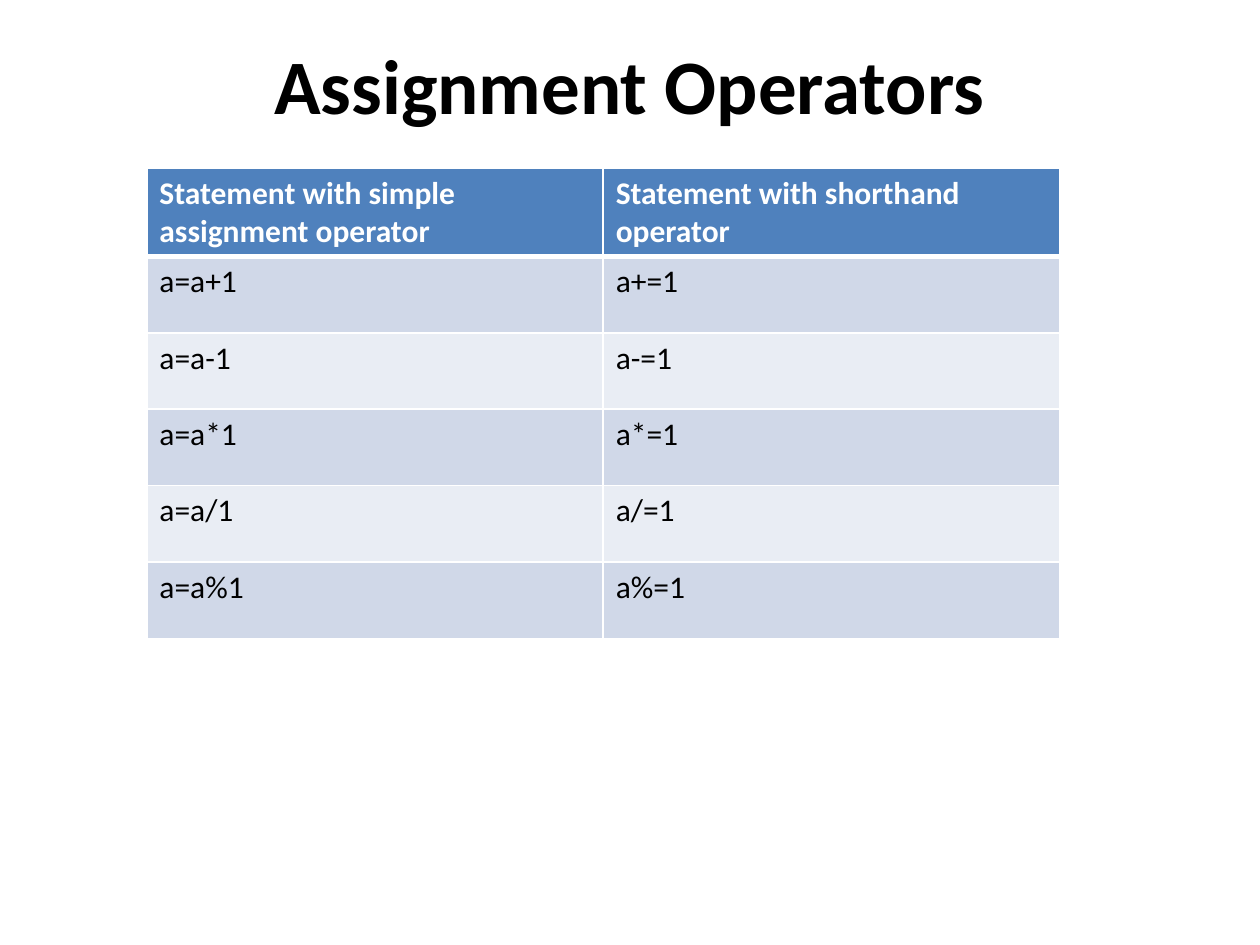
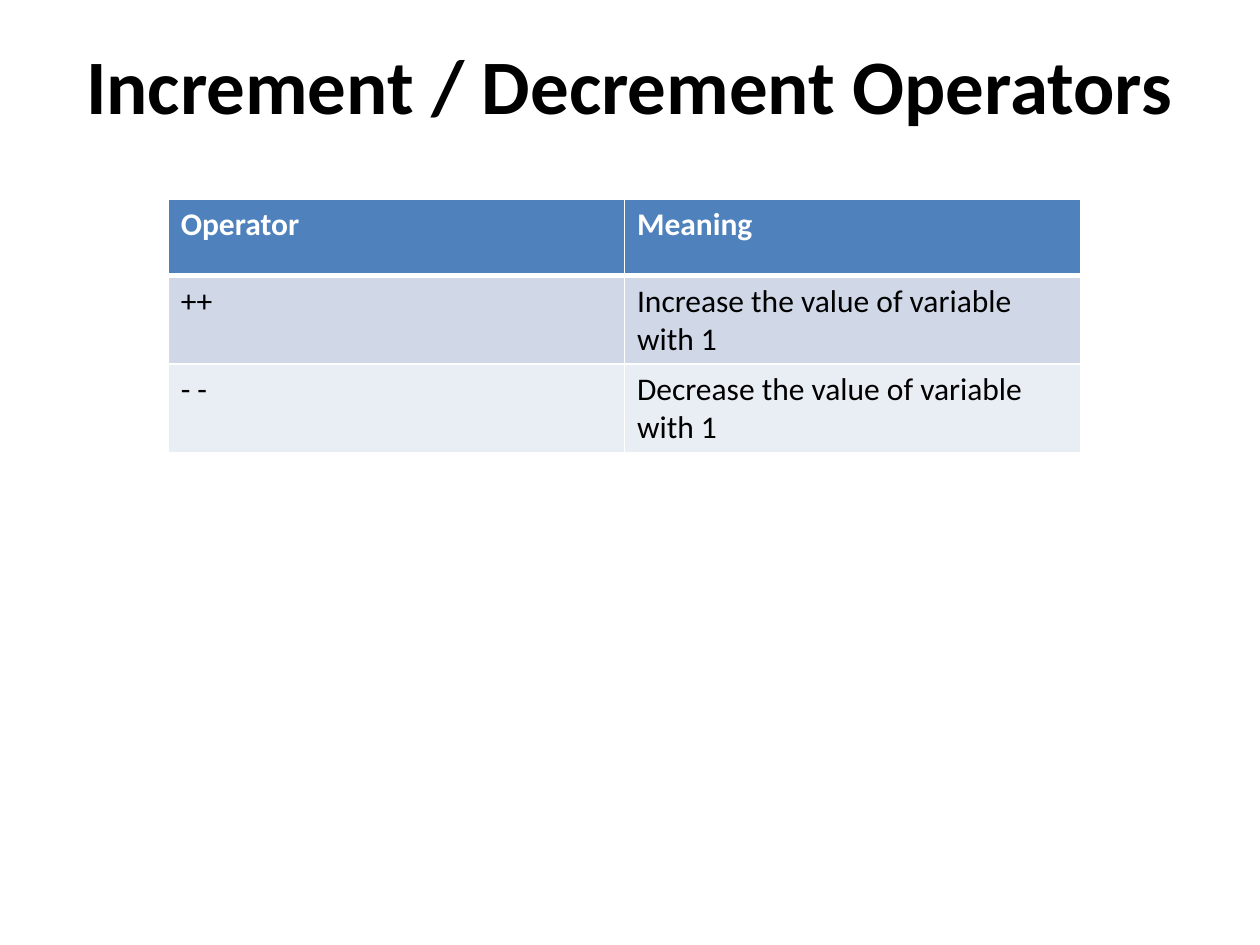
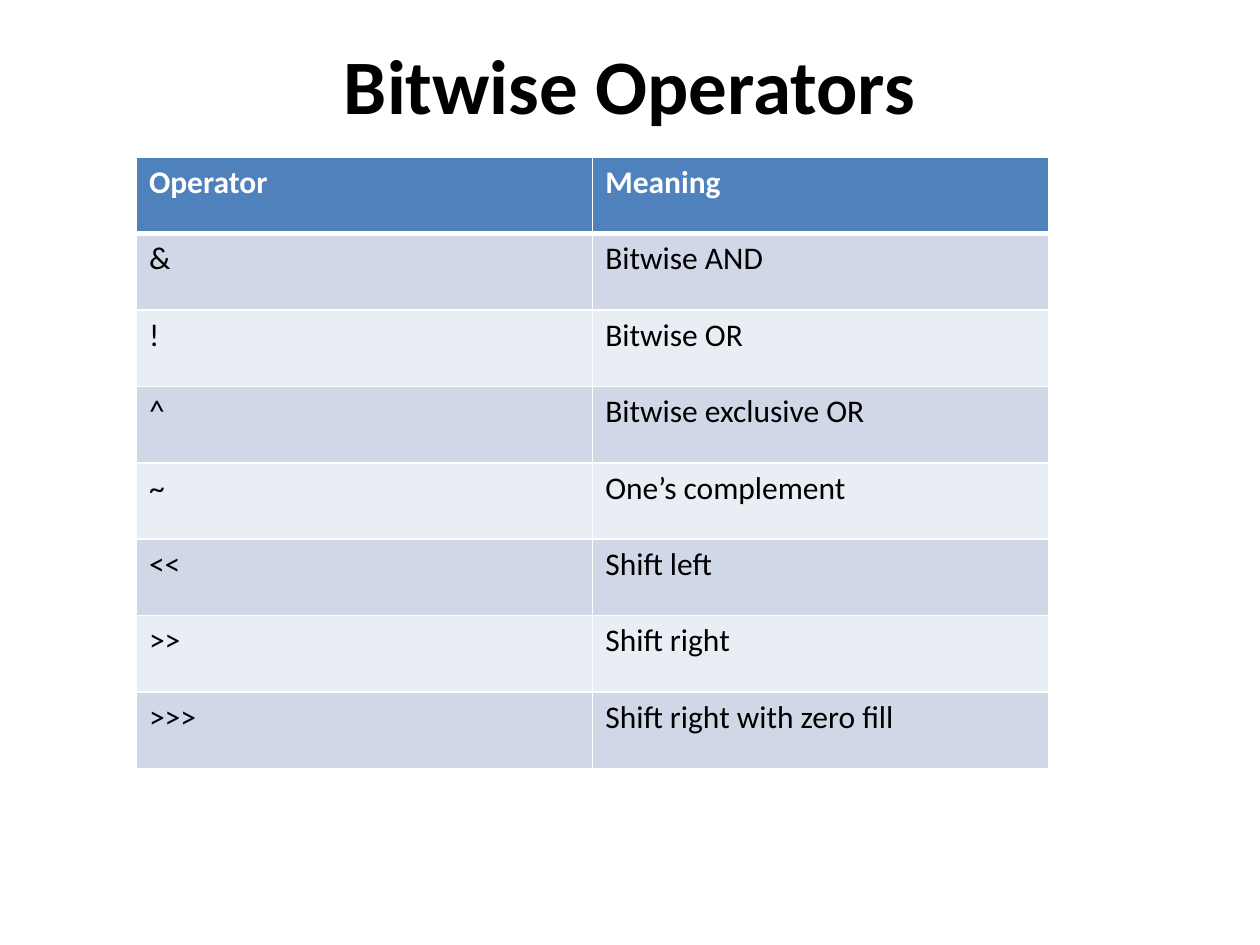
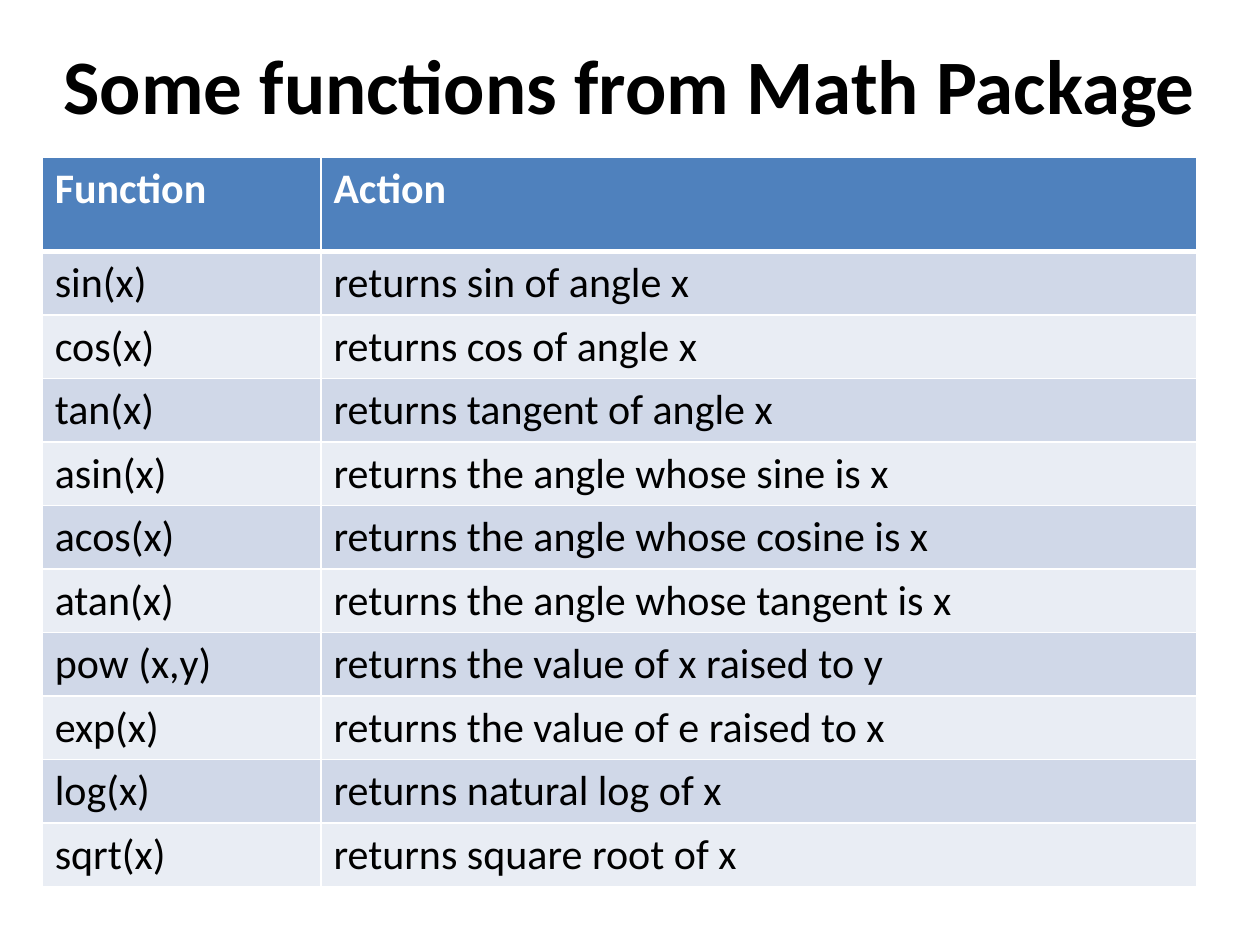
from lxml.etree import SubElement
from pptx import Presentation
from pptx.dml.color import RGBColor
from pptx.enum.text import MSO_ANCHOR, PP_ALIGN
from pptx.oxml.ns import qn
from pptx.util import Cm, Pt

FONT = "Calibri"
BLACK = RGBColor(0x00, 0x00, 0x00)
WHITE = RGBColor(0xFF, 0xFF, 0xFF)
HEADER_BLUE = RGBColor(0x4F, 0x81, 0xBD)
BANDS = (RGBColor(0xD0, 0xD8, 0xE8), RGBColor(0xE9, 0xED, 0xF4))

SLIDE_WIDTH, SLIDE_HEIGHT = Cm(25.4), Cm(19.05)
TITLE_TOP, TITLE_HEIGHT = Cm(0.42), Cm(2.54)
THIN, THICK = Pt(1), Pt(3)

# Table sizes: column widths, header and body row heights in cm, text in points
OPERATOR_TABLE = {"columns": (9.2, 9.2), "header": 1.54, "body": 1.54, "text": 18}
FUNCTION_TABLE = {"columns": (5.62, 17.66), "header": 1.9, "body": 1.28, "text": 24}

# Content: the first row of each table is its header
TOPICS = [
    {
        "title": "Assignment Operators",
        "corner": (2.96, 3.39),
        "sizes": OPERATOR_TABLE,
        "rows": [
            ("Statement with simple assignment operator",
             "Statement with shorthand operator"),
            ("a=a+1", "a+=1"),
            ("a=a-1", "a-=1"),
            ("a=a*1", "a*=1"),
            ("a=a/1", "a/=1"),
            ("a=a%1", "a%=1"),
        ],
    },
    {
        "title": "Increment / Decrement Operators",
        "corner": (3.39, 4.02),
        "sizes": OPERATOR_TABLE,
        "rows": [
            ("Operator", "Meaning"),
            ("++", "Increase the value of variable with 1"),
            ("- -", "Decrease the value of variable with 1"),
        ],
    },
    {
        "title": "Bitwise Operators",
        "corner": (2.75, 3.17),
        "sizes": OPERATOR_TABLE,
        "rows": [
            ("Operator", "Meaning"),
            ("&", "Bitwise AND"),
            ("!", "Bitwise OR"),
            ("^", "Bitwise exclusive OR"),
            ("~", "One’s complement"),
            ("<<", "Shift left"),
            (">>", "Shift right"),
            (">>>", "Shift right with zero fill"),
        ],
    },
    {
        "title": "Some functions from Math Package",
        "corner": (0.85, 3.17),
        "sizes": FUNCTION_TABLE,
        "rows": [
            ("Function", "Action"),
            ("sin(x)", "returns sin of angle x"),
            ("cos(x)", "returns cos of angle x"),
            ("tan(x)", "returns tangent of angle x"),
            ("asin(x)", "returns the angle whose sine is x"),
            ("acos(x)", "returns the angle whose cosine is x"),
            ("atan(x)", "returns the angle whose tangent is x"),
            ("pow (x,y)", "returns the value of x raised to y"),
            ("exp(x)", "returns the value of e raised to x"),
            ("log(x)", "returns natural log of x"),
            ("sqrt(x)", "returns square root of x"),
        ],
    },
]


def add_run(paragraph, words, size, color, bold):
    run = paragraph.add_run()
    run.text = words
    run.font.name = FONT
    run.font.size = Pt(size)
    run.font.bold = bold
    run.font.color.rgb = color


def add_title(slide, words):
    title = slide.shapes.add_textbox(0, TITLE_TOP, SLIDE_WIDTH, TITLE_HEIGHT)
    frame = title.text_frame
    frame.word_wrap = True
    frame.vertical_anchor = MSO_ANCHOR.MIDDLE
    frame.paragraphs[0].alignment = PP_ALIGN.CENTER
    add_run(frame.paragraphs[0], words, 44, BLACK, True)


def set_borders(cell, top, bottom):
    properties = cell._tc.get_or_add_tcPr()
    for side, width in (("L", THIN), ("R", THIN), ("T", top), ("B", bottom)):
        border = SubElement(properties, qn(f"a:ln{side}"), w=str(width))
        solid = SubElement(border, qn("a:solidFill"))
        SubElement(solid, qn("a:srgbClr"), val=str(WHITE))


def add_banded_table(slide, corner, sizes, rows):
    left, top = (Cm(length) for length in corner)
    heights = [sizes["header"]] + [sizes["body"]] * (len(rows) - 1)
    table = slide.shapes.add_table(
        len(rows), len(sizes["columns"]), left, top,
        Cm(sum(sizes["columns"])), Cm(sum(heights))).table
    for column, width in zip(table.columns, sizes["columns"]):
        column.width = Cm(width)

    for row_index, (entries, height) in enumerate(zip(rows, heights)):
        table.rows[row_index].height = Cm(height)
        is_header = row_index == 0
        for column_index, words in enumerate(entries):
            cell = table.cell(row_index, column_index)
            # The rule under the header is thick on both sides of the edge
            set_borders(cell,
                        top=THICK if row_index == 1 else THIN,
                        bottom=THICK if is_header else THIN)
            cell.fill.solid()
            cell.fill.fore_color.rgb = (
                HEADER_BLUE if is_header else BANDS[(row_index - 1) % 2])
            add_run(cell.text_frame.paragraphs[0], words, sizes["text"],
                    WHITE if is_header else BLACK, is_header)


def main():
    deck = Presentation()
    deck.slide_width, deck.slide_height = SLIDE_WIDTH, SLIDE_HEIGHT
    blank = deck.slide_layouts[6]
    for topic in TOPICS:
        slide = deck.slides.add_slide(blank)
        add_title(slide, topic["title"])
        add_banded_table(slide, topic["corner"], topic["sizes"], topic["rows"])
    deck.save("out.pptx")


if __name__ == "__main__":
    main()
